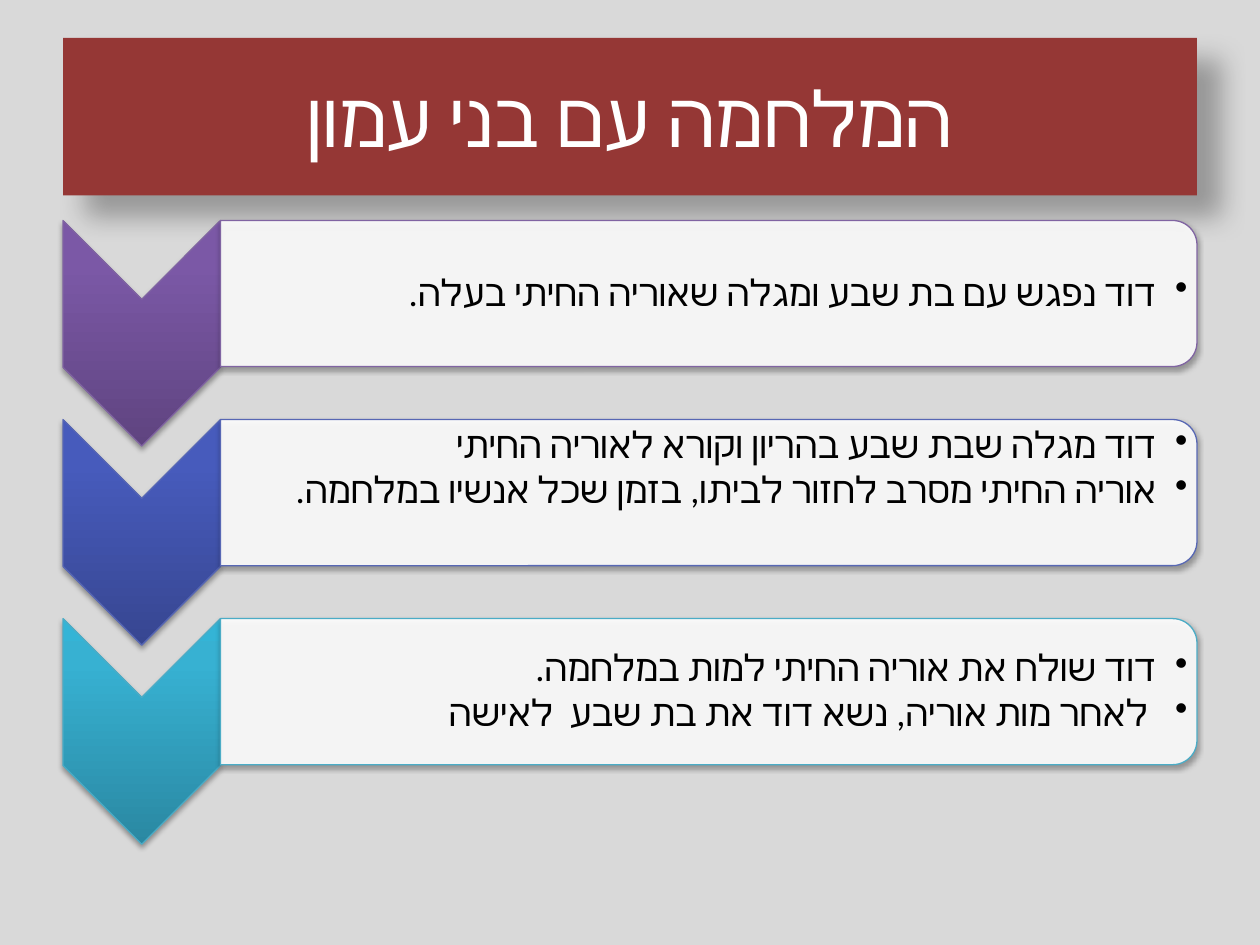
from dataclasses import dataclass

from lxml.etree import SubElement
from pptx import Presentation
from pptx.dml.color import RGBColor
from pptx.enum.shapes import MSO_SHAPE
from pptx.enum.text import MSO_ANCHOR, PP_ALIGN
from pptx.oxml.ns import qn
from pptx.util import Inches, Pt


@dataclass(frozen=True)
class Theme:
    """Colours, font and type sizes of the slide."""
    background: str = "D9D9D9"
    banner: str = "953735"
    light: str = "FFFFFF"
    dark: str = "000000"
    font: str = "Calibri"
    title_size: int = 44
    body_size: int = 21


@dataclass(frozen=True)
class Shadow:
    """Outer shadow: opacity in percent, blur and distance in points, angle."""
    opacity: int
    blur: float
    distance: float
    angle: int


@dataclass(frozen=True)
class Stage:
    """One step of the story with its outline and gradient colours."""
    outline: str
    gradient: tuple
    sentences: tuple
    bottom_inset: float = 0.01


THEME = Theme()
BANNER_SHADOW = Shadow(30, 15, 18, 45)
STAGE_SHADOW = Shadow(35, 3.1, 1.8, 90)
STAGE_TOP, STAGE_PITCH = 1.75, 1.58
STAGES = (
    Stage("8064A2", ("5F4480", "7B58A6", "7C57A8"),
          ("דוד נפגש עם בת שבע ומגלה שאוריה החיתי בעלה.",)),
    Stage("5767B4", ("374691", "475BBC", "455ABF"),
          ("דוד מגלה שבת שבע בהריון וקורא לאוריה החיתי",
           "אוריה החיתי מסרב לחזור לביתו, בזמן שכל אנשיו במלחמה."), 0.39),
    Stage("4BACC6", ("2A88A2", "37B1D2", "34B4D6"),
          ("דוד שולח את אוריה החיתי למות במלחמה.",
           " לאחר מות אוריה, נשא דוד את בת שבע  לאישה")),
)


def add_color(parent, color, opacity=100):
    """Append a colour with its opacity to an XML element."""
    node = SubElement(parent, qn("a:srgbClr"), val=color)
    if opacity < 100:
        SubElement(node, qn("a:alpha"), val=str(opacity * 1000))


def fill_solid(shape, color):
    """Fill a shape with one colour."""
    shape.fill.solid()
    shape.fill.fore_color.rgb = RGBColor.from_string(color)


def fill_gradient(shape, colors):
    """Fill a shape with a gradient that rises from the slide's bottom."""
    shape.fill.gradient()
    gradient = shape._element.spPr.find(qn("a:gradFill"))
    gradient.clear()
    gradient.set("rotWithShape", "0")
    stops = SubElement(gradient, qn("a:gsLst"))
    for position, color in zip((0, 80, 100), colors):
        add_color(SubElement(stops, qn("a:gs"), pos=str(position * 1000)), color)
    SubElement(gradient, qn("a:lin"), ang=str(270 * 60000), scaled="0")


def cast_shadow(shape, shadow):
    """Give a shape an outer shadow that keeps its direction on the slide."""
    shape.shadow.inherit = False
    effects = shape._element.spPr.find(qn("a:effectLst"))
    outer = SubElement(effects, qn("a:outerShdw"), blurRad=str(Pt(shadow.blur)),
                       dist=str(Pt(shadow.distance)),
                       dir=str(shadow.angle * 60000), rotWithShape="0")
    add_color(outer, THEME.dark, shadow.opacity)


def add_run(paragraph, text, size, color):
    """Add a right-to-left run of text to a paragraph."""
    paragraph._p.get_or_add_pPr().set("rtl", "1")
    run = paragraph.add_run()
    run.text = text
    run.font.size = Pt(size)
    run.font.color.rgb = RGBColor.from_string(color)
    run.font.name = THEME.font
    SubElement(run._r.get_or_add_rPr(), qn("a:cs"), typeface=THEME.font)


def set_title(slide, text):
    """Turn the title placeholder into the banner."""
    banner = slide.shapes.title
    banner.left, banner.top = Inches(0.5), Inches(0.3)
    banner.width, banner.height = Inches(9), Inches(1.25)
    fill_solid(banner, THEME.banner)
    cast_shadow(banner, BANNER_SHADOW)
    banner.text_frame.vertical_anchor = MSO_ANCHOR.MIDDLE
    heading = banner.text_frame.paragraphs[0]
    heading.alignment = PP_ALIGN.CENTER
    add_run(heading, text, THEME.title_size, THEME.light)


def add_turned_shape(slide, preset, left, top, width, height, outline):
    """Add a preset turned clockwise by 90 degrees, placed as it is seen."""
    shift = (width - height) / 2
    shape = slide.shapes.add_shape(preset, Inches(left + shift), Inches(top - shift),
                                   Inches(height), Inches(width))
    shape.rotation = 90
    shape.line.color.rgb = RGBColor.from_string(outline)
    shape.line.width = Pt(0.75)
    cast_shadow(shape, STAGE_SHADOW)
    return shape


def add_bullets(slide, top, stage):
    """Add the right-to-left bulleted sentences of a stage."""
    sentences = slide.shapes.add_textbox(Inches(1.75), Inches(top + 0.06),
                                         Inches(7.69), Inches(1.05))
    frame = sentences.text_frame
    frame.word_wrap = True
    frame.vertical_anchor = MSO_ANCHOR.MIDDLE
    frame.margin_left = Inches(0.16)
    frame.margin_top = frame.margin_right = Inches(0.01)
    frame.margin_bottom = Inches(stage.bottom_inset)
    for index, sentence in enumerate(stage.sentences):
        bullet = frame.add_paragraph() if index else frame.paragraphs[0]
        properties = bullet._p.get_or_add_pPr()
        properties.set("marL", str(Inches(0.25)))
        properties.set("indent", str(Inches(-0.25)))
        SubElement(properties, qn("a:buChar"), char="•")
        bullet.level = 1
        bullet.alignment = PP_ALIGN.RIGHT
        bullet.line_spacing = 0.9
        bullet.space_after = Pt(3)
        add_run(bullet, sentence, THEME.body_size, THEME.dark)


def add_stage(slide, top, stage):
    """Add the arrow, panel and sentences of one stage."""
    arrow = add_turned_shape(slide, MSO_SHAPE.CHEVRON, 0.5, top, 1.25, 1.79,
                             stage.outline)
    fill_gradient(arrow, stage.gradient)
    panel = add_turned_shape(slide, MSO_SHAPE.ROUND_2_SAME_RECTANGLE, 1.75, top,
                             7.75, 1.16, stage.outline)
    fill_solid(panel, THEME.light)
    white = panel._element.spPr.find(qn("a:solidFill"))[0]
    SubElement(white, qn("a:alpha"), val="90000")
    add_bullets(slide, top, stage)


def main():
    """Build and save the slide."""
    deck = Presentation()
    deck.slide_width, deck.slide_height = Inches(10), Inches(7.5)
    slide = deck.slides.add_slide(deck.slide_layouts[5])
    fill_solid(slide.background, THEME.background)
    set_title(slide, "המלחמה עם בני עמון")
    for index, stage in enumerate(STAGES):
        add_stage(slide, STAGE_TOP + index * STAGE_PITCH, stage)
    deck.save("out.pptx")


if __name__ == "__main__":
    main()
